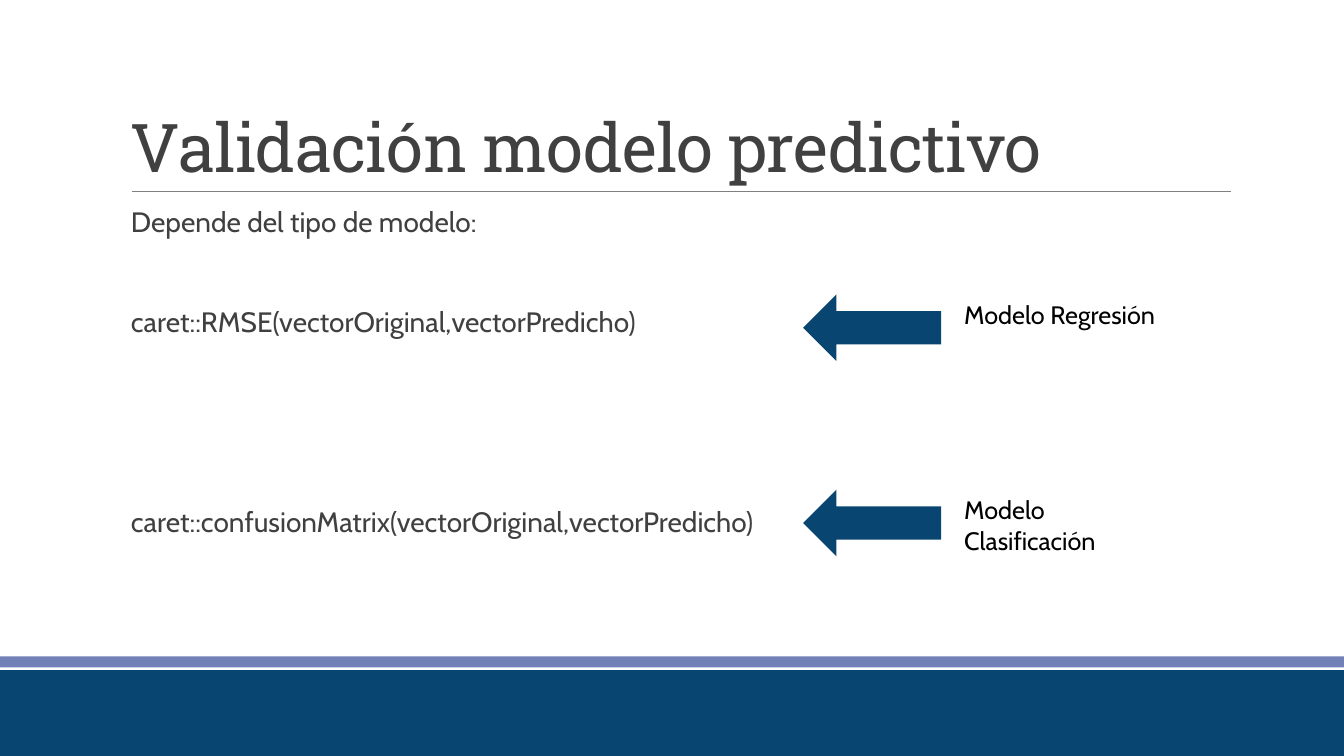
import pptx
import pptx.dml.color
import pptx.enum.shapes
import pptx.enum.text
import pptx.oxml.ns
import pptx.util
import lxml.etree

Cm = pptx.util.Cm
Pt = pptx.util.Pt
SHAPES = pptx.enum.shapes.MSO_SHAPE
ANCHORS = pptx.enum.text.MSO_ANCHOR


class SlideBuilder:
    """Holds the colours, fonts and current slide, and adds its elements."""

    colours = {"navy": "094571", "lavender": "7181B8", "rule": "808080",
               "heading": "404040", "label": "000000"}
    title_font = "Roboto Slab"
    body_font = "Cabin"

    def __init__(self, slide):
        self.slide = slide

    def colour(self, name):
        return pptx.dml.color.RGBColor.from_string(self.colours[name])

    def rule(self, left, right, top):
        connector = self.slide.shapes.add_connector(
            pptx.enum.shapes.MSO_CONNECTOR.STRAIGHT, Cm(left), Cm(top), Cm(right), Cm(top))
        connector.line.color.rgb = self.colour("rule")
        connector.line.width = Pt(0.5)
        lxml.etree.SubElement(connector._element.spPr, pptx.oxml.ns.qn("a:effectLst"))

    def solid(self, kind, left, top, width, height, fill, rotation=0):
        shape = self.slide.shapes.add_shape(kind, Cm(left), Cm(top), Cm(width), Cm(height))
        shape.shadow.inherit = False
        shape.fill.solid()
        shape.fill.fore_color.rgb = self.colour(fill)
        shape.line.fill.background()
        shape.rotation = rotation

    def text_frame(self, left, top, width, height, anchor=ANCHORS.TOP):
        box = self.slide.shapes.add_textbox(Cm(left), Cm(top), Cm(width), Cm(height))
        box.text_frame.word_wrap = True
        box.text_frame.vertical_anchor = anchor
        return box.text_frame

    def add_text(self, paragraph, text, size, font, colour):
        run = paragraph.add_run()
        run.text = text
        paragraph.font.size = Pt(size)
        paragraph.font.name = font
        paragraph.font.color.rgb = self.colour(colour)
        return run

    def title(self, text):
        paragraph = self.text_frame(3.05, 0.79, 27.94, 4.04, ANCHORS.BOTTOM).paragraphs[0]
        paragraph.line_spacing = 0.85
        run = self.add_text(paragraph, text, 48, self.title_font, "heading")
        run._r.get_or_add_rPr().set("spc", "-50")

    def body(self, entries):
        frame = self.text_frame(3.05, 5.13, 17.53, 9.27)
        frame.margin_left = Cm(0.25)
        frame.margin_right = 0
        for index, (text, space_before) in enumerate(entries):
            paragraph = frame.add_paragraph() if index else frame.paragraphs[0]
            paragraph.line_spacing = 0.9
            paragraph.space_before = Pt(space_before)
            paragraph.space_after = Pt(2)
            self.add_text(paragraph, text, 20, self.body_font, "heading")

    def model_label(self, text, top):
        self.solid(SHAPES.RIGHT_ARROW, 20.24, top, 3.48, 1.68, "navy", rotation=180)
        frame = self.text_frame(24.05, top, 5.41, 1.8)
        self.add_text(frame.paragraphs[0], text, 18, self.body_font, "label")


def main():
    presentation = pptx.Presentation()
    presentation.slide_width = Cm(33.87)
    presentation.slide_height = Cm(19.05)
    builder = SlideBuilder(presentation.slides.add_slide(presentation.slide_layouts[6]))

    builder.rule(3.33, 31.01, 4.83)
    builder.solid(SHAPES.RECTANGLE, 0, 16.54, 33.87, 0.28, "lavender")
    builder.solid(SHAPES.RECTANGLE, 0, 16.89, 33.87, 2.16, "navy")
    builder.title("Validación modelo predictivo")
    builder.body([
        ("Depende del tipo de modelo:", 12),
        ("caret::RMSE(vectorOriginal,vectorPredicho)", 47.6),
        ("caret::confusionMatrix(vectorOriginal,vectorPredicho)", 119),
    ])
    builder.model_label("Modelo Regresión", 7.42)
    builder.model_label("Modelo Clasificación", 12.34)
    presentation.save("out.pptx")


if __name__ == "__main__":
    main()
